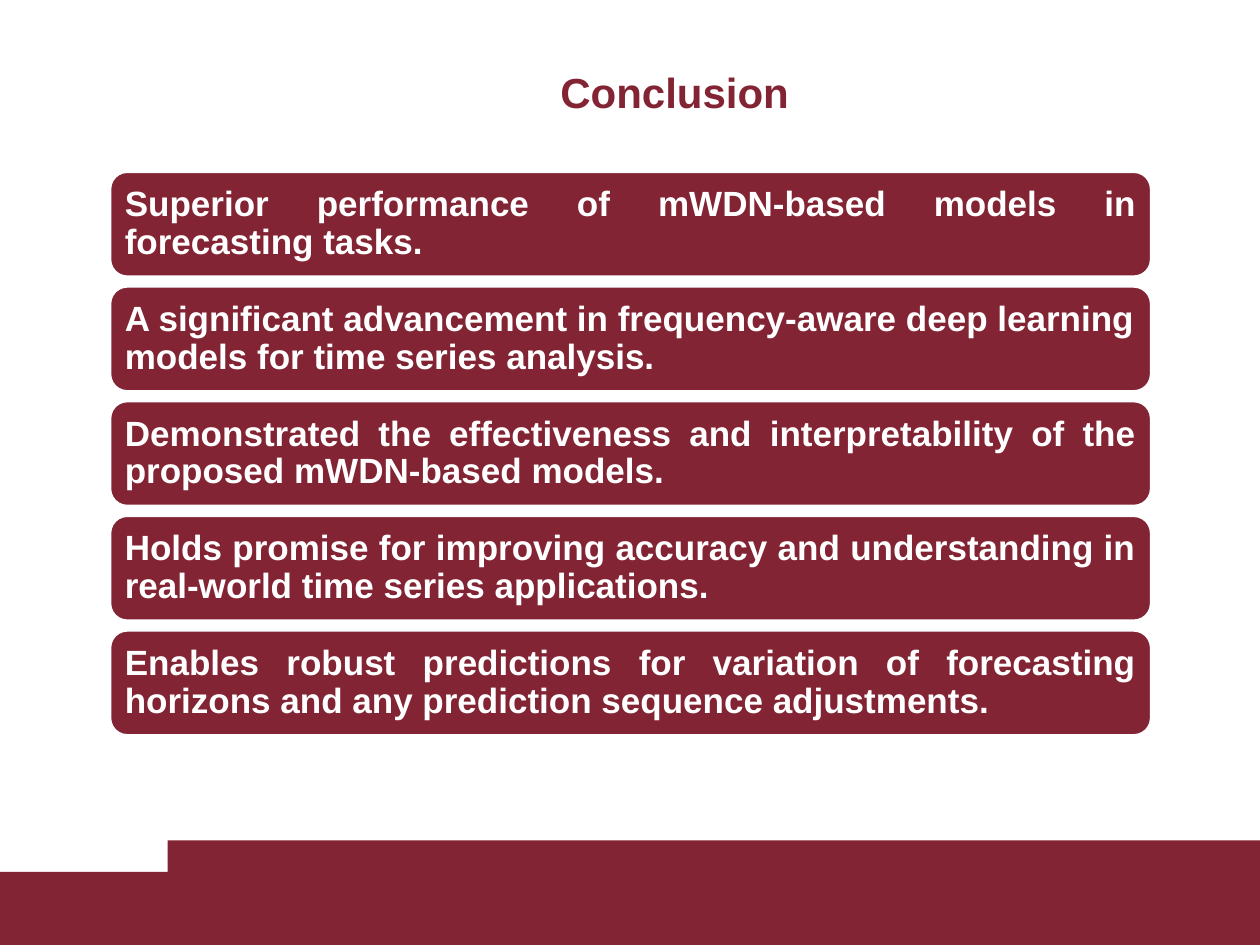
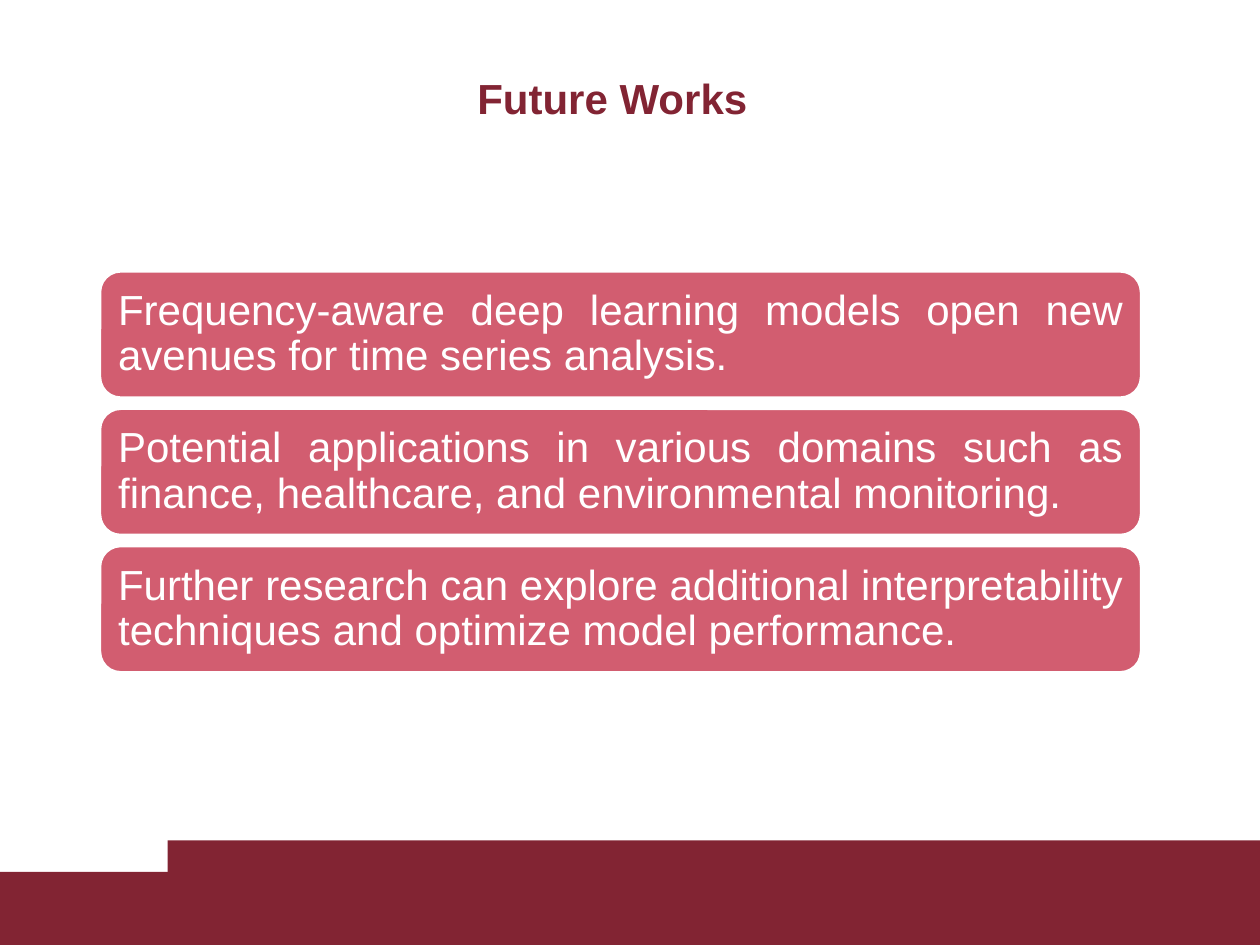
"""Build the conclusion and future works slides."""
from pptx import Presentation
from pptx import util as u
from pptx.dml.color import RGBColor
from pptx.enum import shapes, text

HUES = {"wine": "822433", "rose": "D25D70", "white": "FFFFFF"}
FONT = "Arial"
LEFT, CENTER, JUSTIFY = (text.PP_ALIGN.LEFT, text.PP_ALIGN.CENTER,
                         text.PP_ALIGN.JUSTIFY)

GOALS = [
    ("Superior performance of mWDN-based models in forecasting tasks.", JUSTIFY),
    ("A significant advancement in frequency-aware deep learning models "
     "for time series analysis.", LEFT),
    ("Demonstrated the effectiveness and interpretability of the proposed "
     "mWDN-based models.", JUSTIFY),
    ("Holds promise for improving accuracy and understanding in real-world "
     "time series applications.", JUSTIFY),
    ("Enables robust predictions for variation of forecasting horizons and "
     "any prediction sequence adjustments.", JUSTIFY),
]
PLANS = [
    ("Frequency-aware deep learning models open new avenues for time series "
     "analysis.", JUSTIFY),
    ("Potential applications in various domains such as finance, healthcare, "
     "and environmental monitoring.", JUSTIFY),
    ("Further research can explore additional interpretability techniques "
     "and optimize model performance.", JUSTIFY),
]


def color(name):
    """Return the named colour."""
    return RGBColor.from_string(HUES[name])


def write(shape, words, size, hue, align, bold):
    """Write one paragraph, centred vertically, into a shape."""
    frame = shape.text_frame
    frame.word_wrap = True
    frame.vertical_anchor = text.MSO_ANCHOR.MIDDLE
    para = frame.paragraphs[0]
    para.alignment = align
    run = para.add_run()
    run.text = words
    run.font.name = FONT
    run.font.size = u.Pt(size)
    run.font.bold = bold
    run.font.color.rgb = color(hue)
    return para


def add_block(slide, kind, box, hue):
    """Add a filled shape without line or shadow."""
    shape = slide.shapes.add_shape(kind, *map(u.Inches, box))
    shape.shadow.inherit = False
    shape.fill.solid()
    shape.fill.fore_color.rgb = color(hue)
    shape.line.fill.background()
    return shape


def add_page(deck, title, box, align):
    """Add a slide with the stepped footer band and a title."""
    slide = deck.slides.add_slide(deck.slide_layouts[6])
    for band in ((0, 6.92, 10, 0.58), (1.33, 6.67, 8.67, 0.83)):
        add_block(slide, shapes.MSO_SHAPE.RECTANGLE, band, "wine")
    head = slide.shapes.add_textbox(*map(u.Inches, box))
    write(head, title, 24, "wine", align, True)
    return slide


def add_card(slide, box, words, align, hue, size, pad, bold):
    """Add a rounded card holding one statement."""
    card = add_block(slide, shapes.MSO_SHAPE.ROUNDED_RECTANGLE, box, hue)
    card.line.color.rgb = color("white")
    card.line.width = u.Pt(2)
    frame = card.text_frame
    frame.margin_left = frame.margin_right = u.Inches(pad)
    frame.margin_top = frame.margin_bottom = u.Inches(pad)
    para = write(card, words, size, "white", align, bold)
    para.line_spacing = 0.9


def add_stack(slide, items, left, top, high, gap, **style):
    """Stack cards of equal height with equal gaps."""
    for row, (words, align) in enumerate(items):
        box = (left, top + row * (high + gap), 8.27, high)
        add_card(slide, box, words, align, **style)


def main():
    """Build and save the deck."""
    deck = Presentation()
    deck.slide_width, deck.slide_height = u.Inches(10), u.Inches(7.5)
    page = add_page(deck, "Conclusion", (1.22, 0.45, 8.27, 0.55), CENTER)
    add_stack(page, GOALS, 0.87, 1.36, 0.84, 0.07,
              hue="wine", size=20, pad=0.08, bold=True)
    page = add_page(deck, "Future Works", (3.69, 0.5, 2.61, 0.55), LEFT)
    add_stack(page, PLANS, 0.79, 2.15, 1.01, 0.08,
              hue="rose", size=24, pad=0.1, bold=False)
    deck.save("out.pptx")


if __name__ == "__main__":
    main()
